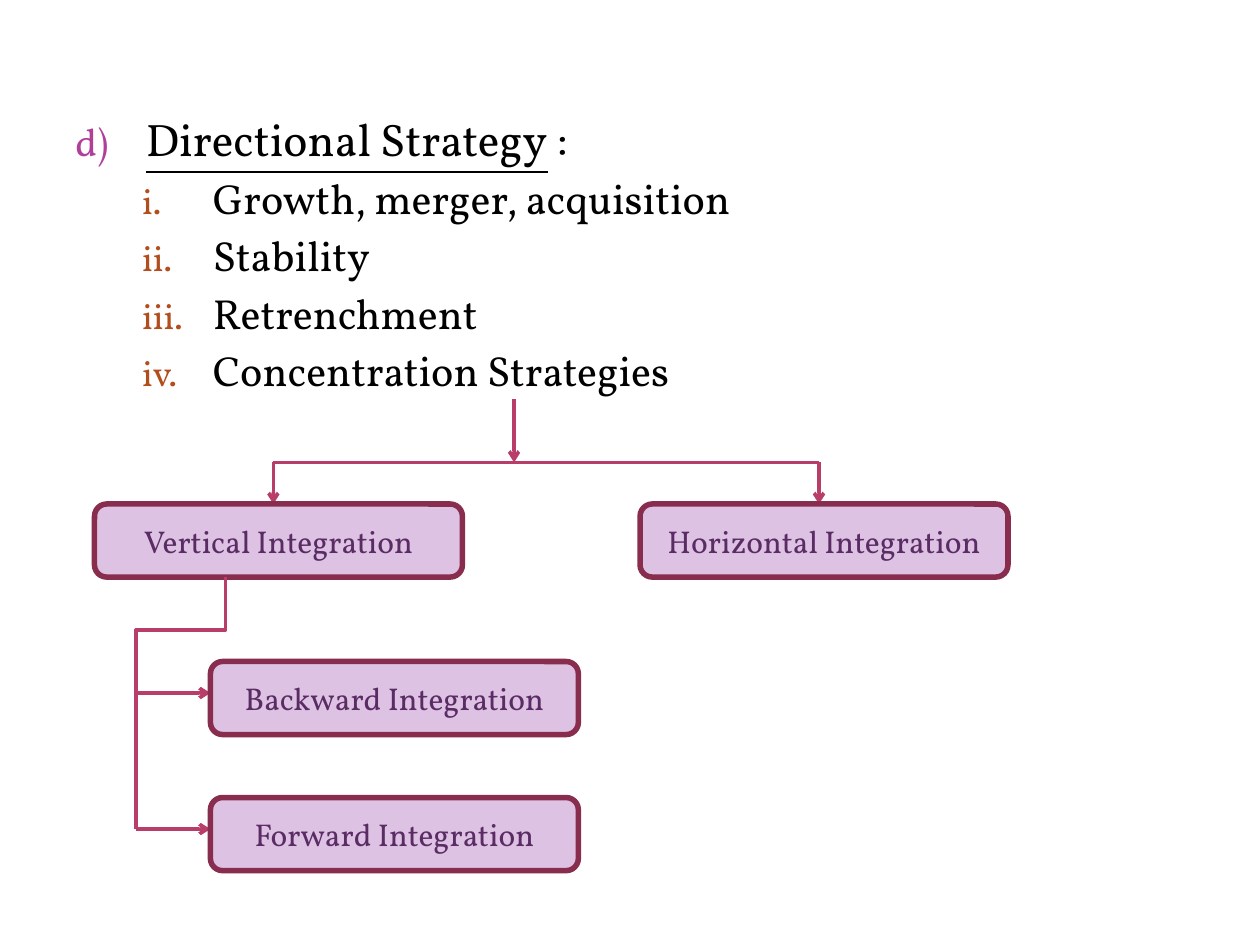
from dataclasses import dataclass

from lxml.etree import SubElement
from pptx import Presentation
from pptx.dml.color import RGBColor
from pptx.enum.shapes import MSO_CONNECTOR, MSO_SHAPE
from pptx.enum.text import MSO_ANCHOR, PP_ALIGN
from pptx.oxml.ns import qn
from pptx.util import Inches, Pt

FONT = "Vollkorn"
COLORS = {
    "text": "000000",
    "letter": "B13F9A",
    "numeral": "B24D1D",
    "line": "B83D68",
    "box_fill": "DEC2E4",
    "box_line": "882D4D",
    "box_text": "5A2C64",
}
BOX_WIDTH, BOX_HEIGHT = 2.92, 0.58


@dataclass
class ListItem:
    wording: tuple[str, ...]
    size: int
    margin: float
    numbering: str
    color: str
    start: int = 1
    space_before: int = 0


@dataclass
class Box:
    text: str
    left: float
    top: float


@dataclass
class Line:
    start: tuple[float, float]
    end: tuple[float, float]
    arrow: bool = True


TOPICS = ("Growth, merger, acquisition", "Stability", "Retrenchment", "Concentration Strategies")
ITEMS = [ListItem(("Directional Strategy", " :"), 26, 0.56, "alphaLcParenR", "letter", start=4)] + [
    ListItem((topic,), 24, 1.09, "romanLcPeriod", "numeral", space_before=4) for topic in TOPICS
]
BOXES = [
    Box("Vertical Integration", 0.75, 4),
    Box("Horizontal Integration", 5.08, 4),
    Box("Backward Integration", 1.67, 5.25),
    Box("Forward Integration", 1.67, 6.33),
]
LINES = [
    Line((2.17, 3.67), (6.5, 3.67), arrow=False),
    Line((4.08, 3.17), (4.08, 3.67)),
    Line((2.17, 3.67), (2.17, 4)),
    Line((6.5, 3.67), (6.5, 4)),
    Line((1.08, 5.5), (1.67, 5.5)),
    Line((1.08, 6.58), (1.67, 6.58)),
]


def color(name: str) -> RGBColor:
    return RGBColor.from_string(COLORS[name])


def style_font(font, size: int, color_name: str) -> None:
    font.name = FONT
    font.size = Pt(size)
    font.color.rgb = color(color_name)


def add_item(para, item: ListItem) -> None:
    properties = para._p.get_or_add_pPr()
    properties.set("marL", str(Inches(item.margin)))
    properties.set("indent", str(-Inches(0.56)))
    bullet_color = SubElement(properties, qn("a:buClr"))
    SubElement(bullet_color, qn("a:srgbClr"), val=COLORS[item.color])
    SubElement(properties, qn("a:buSzPct"), val="85000")
    SubElement(properties, qn("a:buFont"), typeface=FONT)
    SubElement(properties, qn("a:buAutoNum"), type=item.numbering, startAt=str(item.start))
    para.space_before = Pt(item.space_before)
    for wording in item.wording:
        span = para.add_run()
        span.text = wording
        style_font(span.font, item.size, "text")


def add_outline(slide, items: list[ListItem]) -> None:
    box = slide.shapes.add_textbox(Inches(0.5), Inches(0.83), Inches(7.92), Inches(2.4))
    frame = box.text_frame
    frame.word_wrap = True
    for index, item in enumerate(items):
        add_item(frame.add_paragraph() if index else frame.paragraphs[0], item)
    frame.paragraphs[0].runs[0].font.underline = True


def add_box(slide, box: Box) -> None:
    shape = slide.shapes.add_shape(
        MSO_SHAPE.ROUNDED_RECTANGLE,
        Inches(box.left), Inches(box.top), Inches(BOX_WIDTH), Inches(BOX_HEIGHT),
    )
    shape.shadow.inherit = False
    shape.fill.solid()
    shape.fill.fore_color.rgb = color("box_fill")
    shape.line.color.rgb = color("box_line")
    shape.line.width = Pt(3.15)
    frame = shape.text_frame
    frame.text = box.text
    frame.vertical_anchor = MSO_ANCHOR.MIDDLE
    frame.paragraphs[0].alignment = PP_ALIGN.CENTER
    style_font(frame.paragraphs[0].runs[0].font, 18, "box_text")


def add_line(slide, line: Line, kind=MSO_CONNECTOR.STRAIGHT):
    connector = slide.shapes.add_connector(kind, *map(Inches, line.start + line.end))
    connector.line.color.rgb = color("line")
    connector.line.width = Pt(2)
    properties = connector._element.spPr
    if line.arrow:
        SubElement(properties.find(qn("a:ln")), qn("a:tailEnd"), type="arrow")
    SubElement(properties, qn("a:effectLst"))
    return connector


def add_branch(slide, start: tuple[float, float], end: tuple[float, float], bend: float) -> None:
    center_x, center_y = (start[0] + end[0]) / 2, (start[1] + end[1]) / 2
    half_length, half_depth = (end[1] - start[1]) / 2, (start[0] - end[0]) / 2
    unrotated = Line(
        (center_x - half_length, center_y - half_depth),
        (center_x + half_length, center_y + half_depth),
        arrow=False,
    )
    properties = add_line(slide, unrotated, MSO_CONNECTOR.ELBOW)._element.spPr
    properties.find(qn("a:xfrm")).set("rot", str(90 * 60000))
    adjustments = properties.find(qn("a:prstGeom")).find(qn("a:avLst"))
    SubElement(adjustments, qn("a:gd"), name="adj1", fmla=f"val {round(bend * 100000)}")


def main() -> None:
    deck = Presentation()
    deck.slide_width, deck.slide_height = Inches(10), Inches(7.5)
    page = deck.slides.add_slide(deck.slide_layouts[6])
    add_outline(page, ITEMS)
    for line in LINES:
        add_line(page, line)
    for box in BOXES:
        add_box(page, box)
    add_branch(page, (1.79, 4.58), (1.08, 6.58), 0.21)
    deck.save("out.pptx")


if __name__ == "__main__":
    main()
